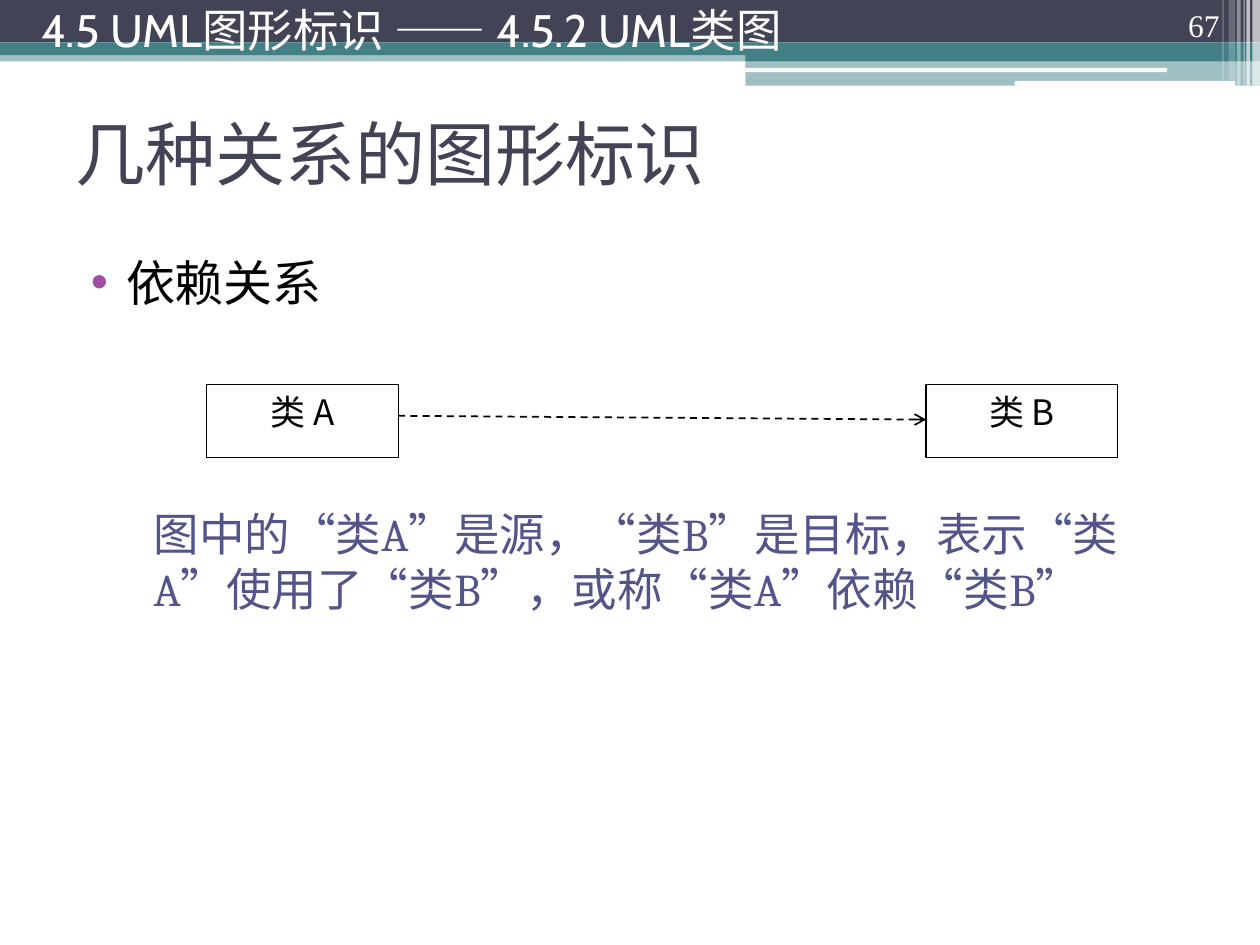
from lxml.etree import SubElement
from pptx import Presentation
from pptx.dml.color import RGBColor
from pptx.enum.dml import MSO_LINE_DASH_STYLE as Dash
from pptx.enum.shapes import MSO_CONNECTOR as Connector, MSO_SHAPE as Shape
from pptx.enum.text import MSO_ANCHOR as Anchor, MSO_AUTO_SIZE as AutoSize, PP_ALIGN as Align
from pptx.oxml.ns import qn
from pptx.util import Pt

COLORS = {
    "white": "FFFFFF",
    "black": "000000",
    "slate": "424456",
    "teal": "438086",
    "indigo": "53548A",
    "purple": "A04DA3",
}


def rgb(color):
    return RGBColor.from_string(COLORS[color])


def place(part, box):
    part.left, part.top, part.width, part.height = map(Pt, box)


def style(paragraph, size, font, color, align=Align.LEFT):
    paragraph.alignment = align
    for run in paragraph.runs:
        run.font.size = Pt(size)
        run.font.name = font
        run.font.color.rgb = rgb(color)


def add_bar(slide, box, color, alpha=100, kind=Shape.RECTANGLE):
    bar = slide.shapes.add_shape(kind, *map(Pt, box))
    bar.shadow.inherit = False
    bar.line.fill.background()
    bar.fill.solid()
    bar.fill.fore_color.rgb = rgb(color)
    if alpha < 100:
        tint = bar.fill._xPr.find(qn("a:solidFill"))[0]
        SubElement(tint, qn("a:alpha")).set("val", str(alpha * 1000))


def add_label(slide, box, text, size, font, anchor, align=Align.LEFT):
    label = slide.shapes.add_textbox(*map(Pt, box))
    frame = label.text_frame
    frame.word_wrap = True
    frame.vertical_anchor = anchor
    frame.text = text
    style(frame.paragraphs[0], size, font, "white", align)


def add_header(slide, box):
    left, top, width, height = box
    right = left + width
    step = right - 294
    add_bar(slide, (left, top + 28.8, width, 6.3), "teal", 50)
    add_bar(slide, (left, top, width, 24.3), "slate")
    add_bar(slide, (left, top + 24.3, width, 7.2), "teal")
    add_bar(slide, (step, top + 28, 294, 7), "teal")
    add_bar(slide, (step, top + 35, 294, 14), "teal", 50)
    for x, y, length, thick in ((step, 38.8, 241, 2.4), (right - 140, 46.2, 126, 2.8)):
        add_bar(slide, (x, top + y, length, thick), "white", kind=Shape.ROUNDED_RECTANGLE)
    stripes = ((4.3, 4.3, 0, 65), (7.8, 2, 0, 65), (9.4, 0.7, 0, 60),
               (13, 2, 0, 40), (18, 4, 3, 20), (21.5, 0.7, 3, 30))
    for offset, thick, gap, alpha in stripes:
        add_bar(slide, (right - offset, top, thick, height - gap), "white", alpha)
    add_label(slide, (left + 16.5, top, 512, 34), "4.5 UML图形标识 —— 4.5.2 UML类图",
              26, "Cabin", Anchor.MIDDLE)
    add_label(slide, (right - 76, top, 60, 28.8), "67",
              18, "Times New Roman", Anchor.BOTTOM, Align.RIGHT)


def fill_title(slide, box):
    title = slide.shapes.title
    place(title, box)
    frame = title.text_frame
    frame.auto_size = AutoSize.NONE
    frame.vertical_anchor = Anchor.MIDDLE
    frame.text = "几种关系的图形标识"
    style(frame.paragraphs[0], 40, "Cabin", "slate")


def set_indent(paragraph, margin, first):
    properties = paragraph._p.get_or_add_pPr()
    properties.set("marL", str(Pt(margin)))
    properties.set("indent", str(Pt(first)))
    return properties


def fill_body(slide, box):
    body = slide.placeholders[1]
    place(body, box)
    frame = body.text_frame
    frame.auto_size = AutoSize.NONE
    frame.vertical_anchor = Anchor.TOP
    frame.text = "依赖关系"
    topic = frame.paragraphs[0]
    meaning = frame.add_paragraph()
    meaning.text = "图中的“类A”是源，“类B”是目标，表示“类A”使用了“类B”，或称“类A”依赖“类B”"
    meaning.level = 1
    style(topic, 28, "Cambria", "black")
    style(meaning, 26, "Cambria", "indigo")
    for paragraph, before, line in ((topic, 3, 34), (meaning, 111, 31.4)):
        paragraph.space_before = Pt(before)
        paragraph.line_spacing = Pt(line)

    bullet = set_indent(topic, 28.8, -20)
    tint = SubElement(bullet, qn("a:buClr"))
    SubElement(tint, qn("a:srgbClr")).set("val", COLORS["purple"])
    SubElement(bullet, qn("a:buFont")).set("typeface", "Arial")
    SubElement(bullet, qn("a:buChar")).set("char", "•")
    SubElement(set_indent(meaning, 44.6, 0), qn("a:buNone"))


def add_class(slide, box, text):
    node = slide.shapes.add_shape(Shape.RECTANGLE, *map(Pt, box))
    node.shadow.inherit = False
    node.fill.background()
    node.line.color.rgb = rgb("black")
    node.line.width = Pt(0.75)
    frame = node.text_frame
    frame.vertical_anchor = Anchor.TOP
    frame.text = text
    style(frame.paragraphs[0], 20, "Noto Sans CJK SC", "black", Align.CENTER)


def add_dependency(slide, box):
    left, top, width, height = box
    class_width = 109.6
    target = left + width - class_width
    add_class(slide, (left, top, class_width, height), "类 A")
    arrow = slide.shapes.add_connector(
        Connector.STRAIGHT, Pt(left + class_width), Pt(top + 18), Pt(target), Pt(top + 20.2))
    arrow.line.color.rgb = rgb("black")
    arrow.line.width = Pt(1)
    arrow.line.dash_style = Dash.DASH
    SubElement(arrow.line._get_or_add_ln(), qn("a:tailEnd")).set("type", "arrow")
    SubElement(arrow._element.spPr, qn("a:effectLst"))
    add_class(slide, (target, top, class_width, height), "类 B")


def main():
    deck = Presentation()
    deck.slide_width, deck.slide_height = Pt(720), Pt(540)
    slide = deck.slides.add_slide(deck.slide_layouts[1])
    add_header(slide, (0, 0, 720, 49))
    fill_title(slide, (36, 45.4, 648, 84))
    fill_body(slide, (36, 140.4, 648, 377))
    add_dependency(slide, (118, 219.6, 520.8, 41.8))
    deck.save("out.pptx")


if __name__ == "__main__":
    main()
